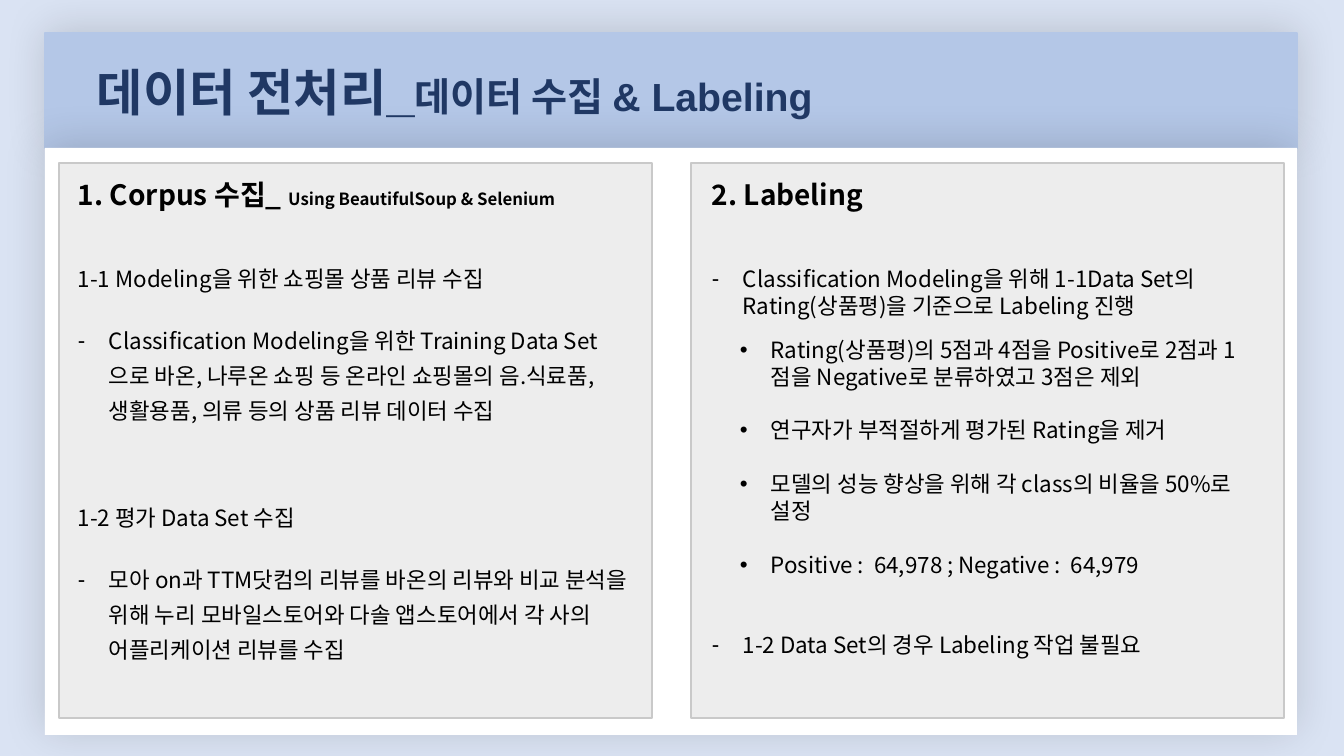
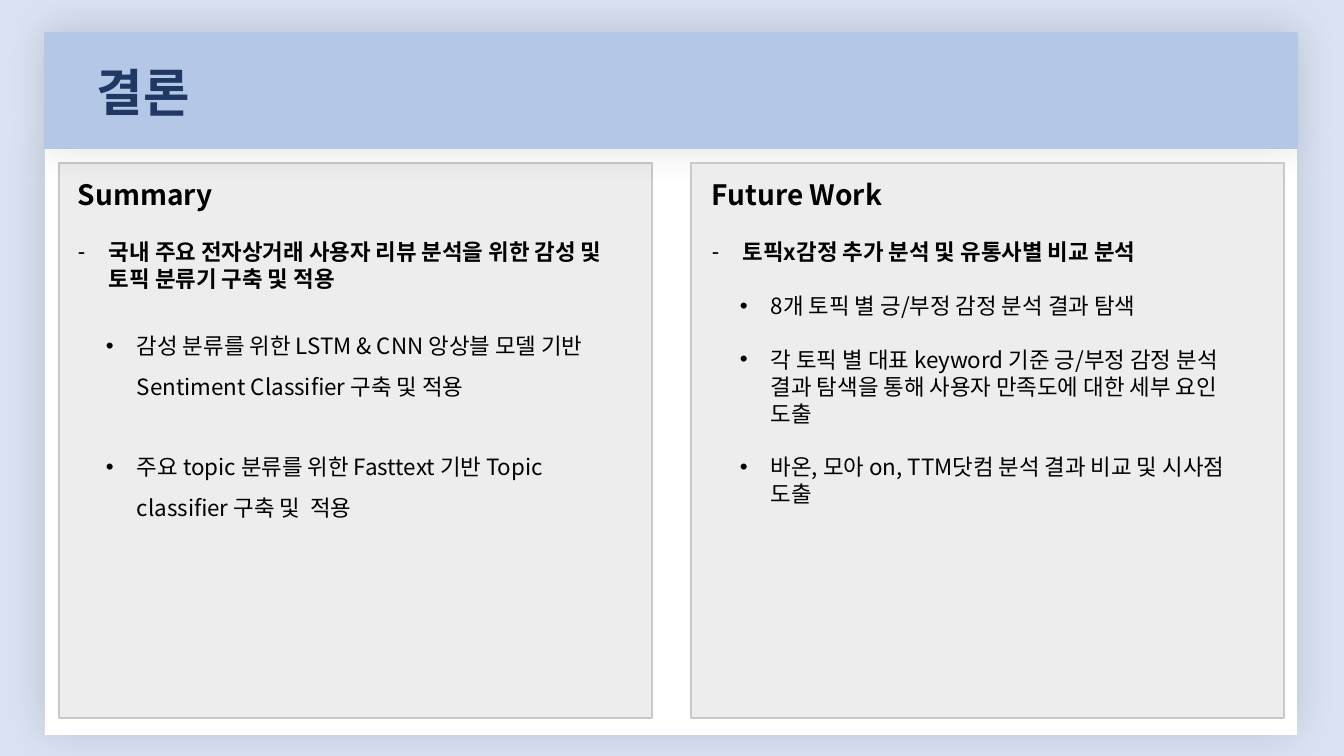
from lxml import etree
from pptx import Presentation
from pptx.dml.color import RGBColor
from pptx.enum.shapes import MSO_SHAPE
from pptx.enum.text import MSO_ANCHOR
from pptx.oxml.ns import qn
from pptx.util import Emu, Pt

RECTANGLE = MSO_SHAPE.RECTANGLE
TOP, MIDDLE = MSO_ANCHOR.TOP, MSO_ANCHOR.MIDDLE
EMU_PER_PX = 914400 / 100.8
LINE = 19.2  # height of one body line, points
COLORS = {"background": "DAE3F3", "band": "B4C7E7", "card": "FFFFFF", "title": "203864",
          "panel": "EDEDED", "panel_line": "C9C9C9", "text": "000000", "shadow": "000000"}
TITLE_FONT, BODY_FONT = "Arial", "Noto Sans CJK KR"

# Layer: box in px, fill, line, has shadow
LAYERS = {
    "band": ((45, 33, 1252, 115), "band", "band", True),
    "card": ((45, 148, 1252, 587), "card", None, True),
    "left": ((59, 163, 593, 555), "panel", "panel_line", False),
    "right": ((691, 163, 593, 555), "panel", "panel_line", False),
}
TITLE_BOX = (87, 55, 1102, 72)
TEXT_BOXES = [(68, 173, 572, 540), (702, 173, 566, 540)]

# Paragraph level: bullet, left indent px, line spacing, bold
LEVELS = {
    "head": (None, 0, 1.25, True),
    "plain": (None, 0, 1, False),
    "dash": ("-", 31, 1, False),
    "dash_loose": ("-", 31, 1.3, False),
    "dash_bold": ("-", 31, 1, True),
    "dot": ("•", 59, 1, False),
    "dot_loose": ("•", 59, 1.5, False),
}
HANGING = 31

# Column entry: level, gap above in lines, runs of (text, size)
SLIDES = [
    {
        "layers": ["band", "card", "left", "right"],
        "title": [("데이터 전처리_", 36), ("데이터 수집 & Labeling", 28)],
        "columns": [
            [
                ("head", 0, [("1. Corpus 수집_ ", 20), ("Using BeautifulSoup & Selenium", 12)]),
                ("plain", 2, [("1-1 Modeling을 위한 쇼핑몰 상품 리뷰 수집", 16)]),
                ("dash_loose", 1, [("Classification Modeling을 위한 Training Data Set으로 바온, 나루온 쇼핑 등 "
                                    "온라인 쇼핑몰의 음.식료품, 생활용품, 의류 등의 상품 리뷰 데이터 수집", 16)]),
                ("plain", 3, [("1-2 평가 Data Set 수집", 16)]),
                ("dash_loose", 1, [("모아 on과 TTM닷컴의 리뷰를 바온의 리뷰와 비교 분석을 위해 누리 모바일스토어와 "
                                    "다솔 앱스토어에서 각 사의 어플리케이션 리뷰를 수집", 16)]),
            ],
            [
                ("head", 0, [("2. Labeling", 20)]),
                ("dash", 2, [("Classification Modeling을 위해 1-1Data Set의 Rating(상품평)을 "
                              "기준으로 Labeling 진행", 16)]),
                ("dot", 0.63, [("Rating(상품평)의 5점과 4점을 Positive로 2점과 1점을 Negative로 "
                                "분류하였고 3점은 제외", 16)]),
                ("dot", 1, [("연구자가 부적절하게 평가된 Rating을 제거", 16)]),
                ("dot", 1, [("모델의 성능 향상을 위해 각 class의 비율을 50%로 설정", 16)]),
                ("dot", 1, [("Positive :  64,978 ; Negative :  64,979", 16)]),
                ("dash", 2, [("1-2 Data Set의 경우 Labeling 작업 불필요", 16)]),
            ],
        ],
    },
    {
        "layers": ["card", "left", "band", "right"],
        "title": [("결론", 36)],
        "columns": [
            [
                ("head", 0, [("Summary", 20)]),
                ("dash_bold", 1, [("국내 주요 전자상거래 사용자 리뷰 분석을 위한 감성 및 토픽 분류기 구축 및 적용", 16)]),
                ("dot_loose", 1, [("감성 분류를 위한 LSTM & CNN 앙상블 모델 기반 "
                                   "Sentiment Classifier 구축 및 적용", 16)]),
                ("dot_loose", 1.5, [("주요 topic 분류를 위한 Fasttext 기반 "
                                     "Topic classifier 구축 및  적용", 16)]),
            ],
            [
                ("head", 0, [("Future Work", 20)]),
                ("dash_bold", 1, [("토픽x감정 추가 분석 및 유통사별 비교 분석", 16)]),
                ("dot", 1, [("8개 토픽 별 긍/부정 감정 분석 결과 탐색", 16)]),
                ("dot", 1, [("각 토픽 별 대표 keyword 기준 긍/부정 감정 분석 결과 탐색을 통해 "
                             "사용자 만족도에 대한 세부 요인 도출", 16)]),
                ("dot", 1, [("바온, 모아 on, TTM닷컴 분석 결과 비교 및 시사점 도출", 16)]),
            ],
        ],
    },
]


def px(value):
    return Emu(round(value * EMU_PER_PX))


def color(name):
    return RGBColor.from_string(COLORS[name])


def add_soft_shadow(shape):
    effects = shape._element.spPr.find(qn("a:effectLst"))
    shadow = etree.SubElement(effects, qn("a:outerShdw"), blurRad=str(Pt(30)), dist=str(Pt(3)),
                              dir="16200000", algn="b", rotWithShape="0")
    shade = etree.SubElement(shadow, qn("a:srgbClr"), val=COLORS["shadow"])
    etree.SubElement(shade, qn("a:alpha"), val="15000")


def add_layer(slide, box, fill, line, has_shadow):
    shape = slide.shapes.add_shape(RECTANGLE, *map(px, box))
    shape.shadow.inherit = False
    shape.fill.solid()
    shape.fill.fore_color.rgb = color(fill)
    if line:
        shape.line.color.rgb = color(line)
        shape.line.width = Pt(1)
    else:
        shape.line.fill.background()
    if has_shadow:
        add_soft_shadow(shape)


def add_text_box(slide, box, anchor=TOP):
    frame = slide.shapes.add_textbox(*map(px, box)).text_frame
    frame.word_wrap = True
    frame.vertical_anchor = anchor
    return frame


def add_run(paragraph, text, size=16, font=BODY_FONT, bold=False, ink="text"):
    run = paragraph.add_run()
    run.text = text
    run.font.size = Pt(size)
    run.font.name = font
    run.font.bold = bold
    run.font.color.rgb = color(ink)
    # East Asian glyphs share one family
    latin = run._r.get_or_add_rPr().find(qn("a:latin"))
    latin.addnext(latin.makeelement(qn("a:ea"), {"typeface": BODY_FONT}))


def set_bullet(paragraph, bullet, indent):
    properties = paragraph._p.get_or_add_pPr()
    properties.set("marL", str(px(indent)))
    properties.set("indent", str(-px(HANGING)))
    etree.SubElement(properties, qn("a:buFont"), typeface=TITLE_FONT)
    etree.SubElement(properties, qn("a:buChar"), char=bullet)


def fill_column(frame, entries):
    for index, (level, gap, runs) in enumerate(entries):
        bullet, indent, spacing, bold = LEVELS[level]
        paragraph = frame.add_paragraph() if index else frame.paragraphs[0]
        paragraph.line_spacing = Pt(LINE * spacing)
        paragraph.space_before = Pt(LINE * gap)
        if bullet:
            set_bullet(paragraph, bullet, indent)
        for text, size in runs:
            add_run(paragraph, text, size=size, bold=bold)


def build_slide(presentation, content):
    slide = presentation.slides.add_slide(presentation.slide_layouts[6])
    slide.background.fill.solid()
    slide.background.fill.fore_color.rgb = color("background")
    for name in content["layers"]:
        add_layer(slide, *LAYERS[name])
    # Title
    title = add_text_box(slide, TITLE_BOX, MIDDLE).paragraphs[0]
    for text, size in content["title"]:
        add_run(title, text, size=size, font=TITLE_FONT, bold=True, ink="title")
    # Two columns
    for box, entries in zip(TEXT_BOXES, content["columns"]):
        fill_column(add_text_box(slide, box), entries)


def main():
    presentation = Presentation()
    presentation.slide_width, presentation.slide_height = px(1344), px(756)
    for content in SLIDES:
        build_slide(presentation, content)
    presentation.save("out.pptx")


if __name__ == "__main__":
    main()
